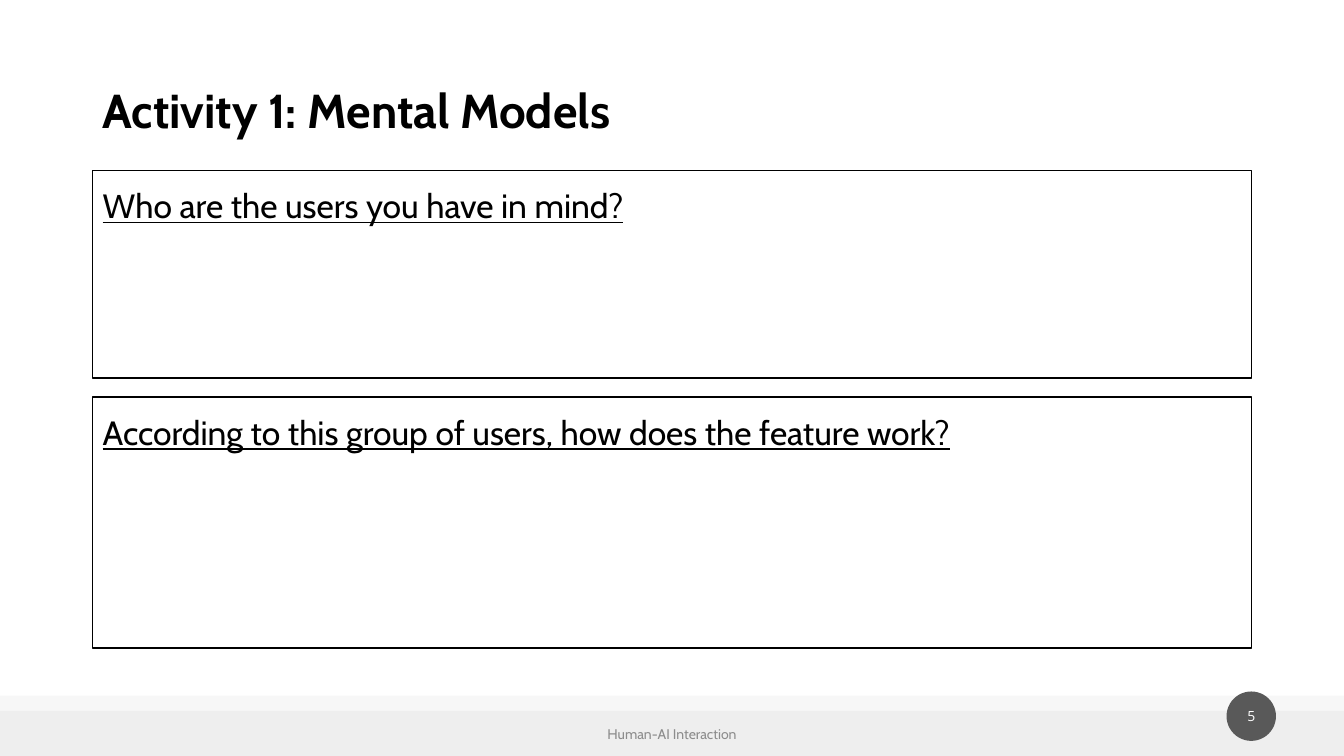
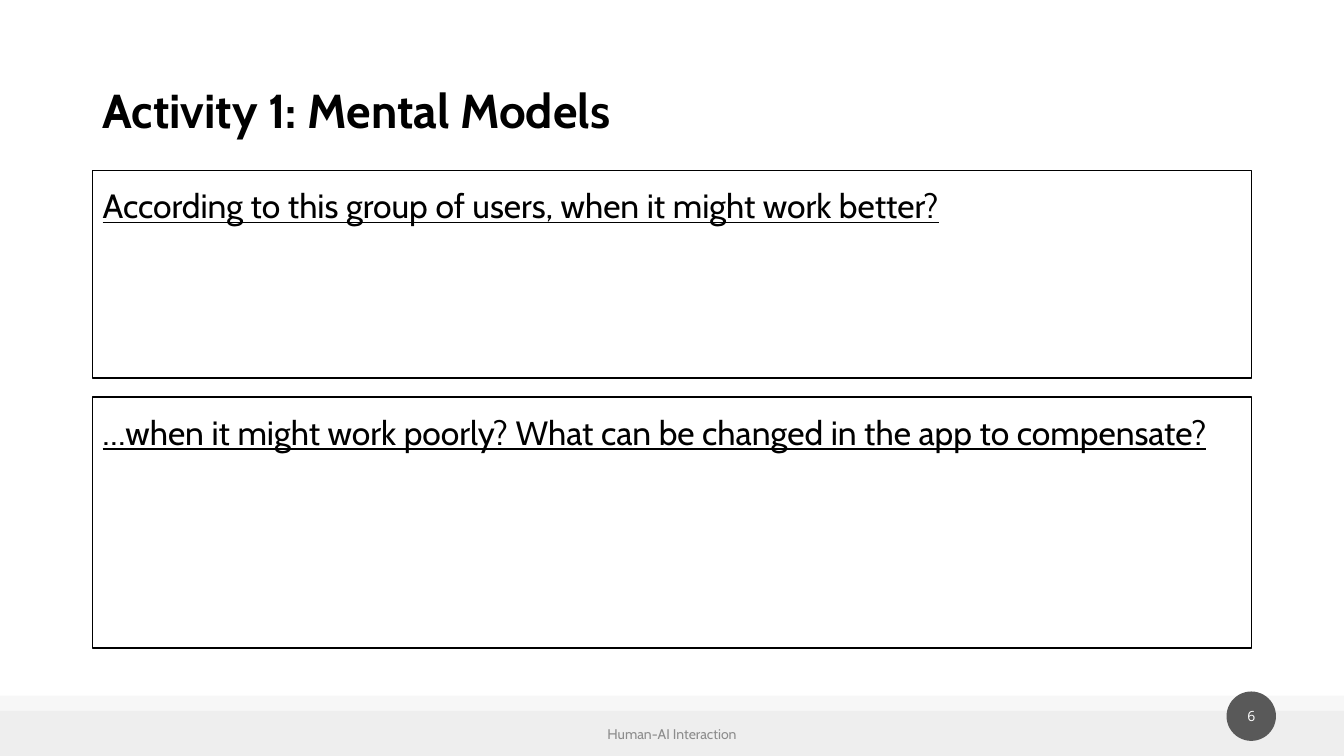
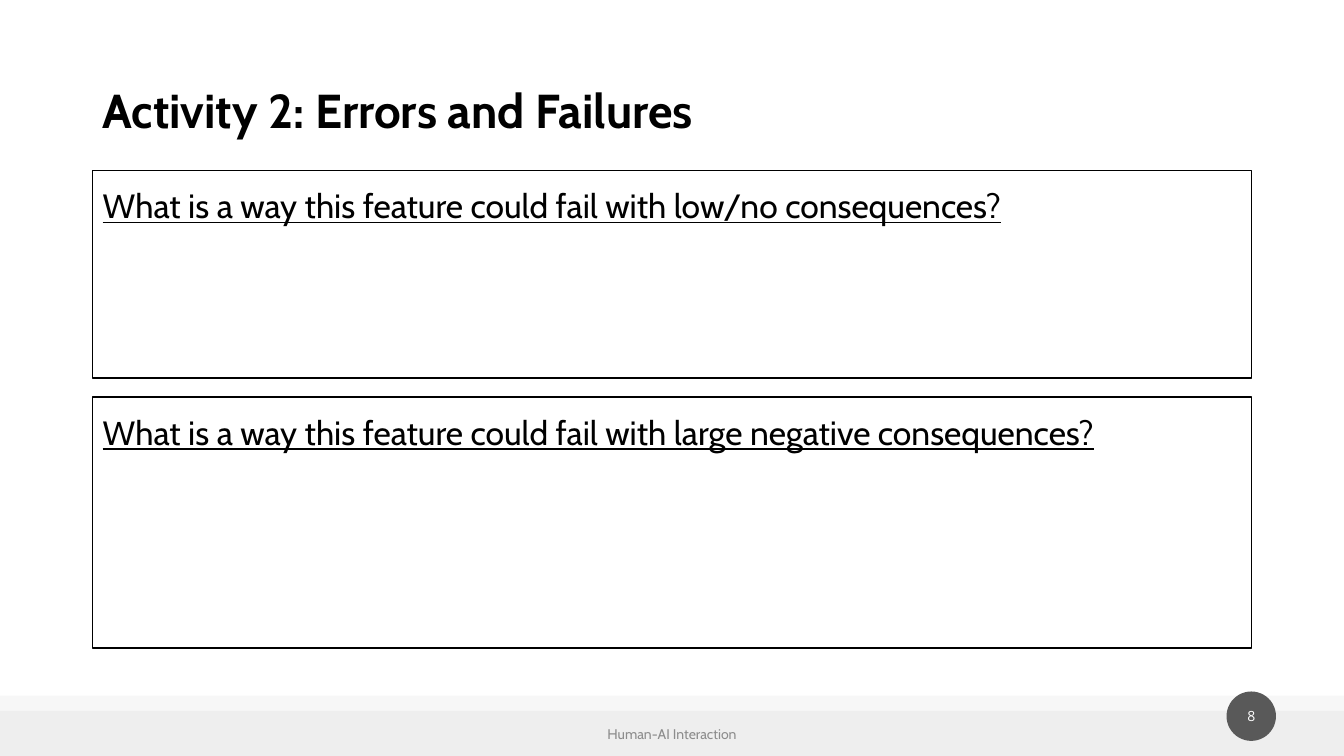
from lxml import etree
from pptx import Presentation
from pptx import util as u
from pptx.dml import color
from pptx.enum import shapes, text
from pptx.oxml import ns

W, H = 13.33, 7.5
MARGIN = 0.92
CONTENT = W - 2 * MARGIN
GAP = 0.19
QUESTIONS_TOP = 1.69
QUESTION_HEIGHTS = (2.06, 2.49)
BAND_TOP = 0.94 * H
STRIP = 0.02 * H
BADGE = 0.49

BLACK, WHITE, BAND, BADGE_GREY, FOOTER_GREY = "000000", "FFFFFF", "EEEEEE", "595959", "8C8C8C"
RECT, OVAL = shapes.MSO_SHAPE.RECTANGLE, shapes.MSO_SHAPE.OVAL
LEFT, CENTER = text.PP_ALIGN.LEFT, text.PP_ALIGN.CENTER
TOP, MIDDLE = text.MSO_ANCHOR.TOP, text.MSO_ANCHOR.MIDDLE

ACTIVITIES = [
    (5, "Activity 1: Mental Models",
     ("Who are the users you have in mind?",
      "According to this group of users, how does the feature work?")),
    (6, "Activity 1: Mental Models",
     ("According to this group of users, when it might work better?",
      "…when it might work poorly? What can be changed in the app to compensate?")),
    (8, "Activity 2: Errors and Failures",
     ("What is a way this feature could fail with low/no consequences?",
      "What is a way this feature could fail with large negative consequences?")),
]


def paint(target, hex_code, opacity=100):
    target.solid()
    target.fore_color.rgb = color.RGBColor.from_string(hex_code)
    if opacity < 100:
        tint = target.fore_color._xFill.find(ns.qn("a:srgbClr"))
        etree.SubElement(tint, ns.qn("a:alpha"), val=str(opacity * 1000))


def write(shape, words, size=24, font="Cabin", ink=BLACK, bold=False, underline=False,
          align=LEFT, anchor=TOP, spacing=1.0, before=0, side_inset=0.1):
    frame = shape.text_frame
    frame.word_wrap = True
    frame.vertical_anchor = anchor
    frame.margin_left = frame.margin_right = u.Inches(side_inset)
    line = frame.paragraphs[0]
    line.alignment, line.line_spacing, line.space_before = align, spacing, u.Pt(before)
    run = line.add_run()
    run.text = words
    run.font.name, run.font.size = font, u.Pt(size)
    run.font.bold, run.font.underline = bold, underline
    paint(run.font.fill, ink)


deck = Presentation()
deck.slide_width, deck.slide_height = u.Inches(W), u.Inches(H)

for number, heading, questions in ACTIVITIES:
    slide = deck.slides.add_slide(deck.slide_layouts[6])
    paint(slide.background.fill, WHITE)

    furniture = []
    for kind, box, fill, opacity in (
        (RECT, (0, BAND_TOP, W, H - BAND_TOP), BAND, 100),
        (RECT, (0, BAND_TOP - STRIP, W, STRIP), BAND, 47),
        (OVAL, (W - MARGIN - BADGE / 2, 6.86, BADGE, BADGE), BADGE_GREY, 100),
    ):
        part = slide.shapes.add_shape(kind, *map(u.Inches, box))
        part.shadow.inherit = False
        part.line.fill.background()
        paint(part.fill, fill, opacity)
        furniture.append(part)
    write(furniture[-1], str(number), size=10, font="Open Sans", ink=WHITE,
          align=CENTER, anchor=MIDDLE, side_inset=0)

    title = slide.shapes.add_textbox(*map(u.Inches, (MARGIN, 0.4, CONTENT, 1.45)))
    write(title, heading, size=34, bold=True, anchor=MIDDLE, spacing=0.9)

    footer = slide.shapes.add_textbox(*map(u.Inches, ((W - 4.5) / 2, 7.08, 4.5, 0.4)))
    write(footer, "Human-AI Interaction", size=10, ink=FOOTER_GREY, align=CENTER, anchor=MIDDLE)

    top = QUESTIONS_TOP
    for question, height in zip(questions, QUESTION_HEIGHTS):
        panel = slide.shapes.add_shape(RECT, *map(u.Inches, (MARGIN, top, CONTENT, height)))
        panel.shadow.inherit = False
        paint(panel.fill, WHITE)
        paint(panel.line.fill, BLACK)
        panel.line.width = u.Pt(1)
        write(panel, question, underline=True, spacing=1.25, before=10)
        top += height + GAP

deck.save("out.pptx")
